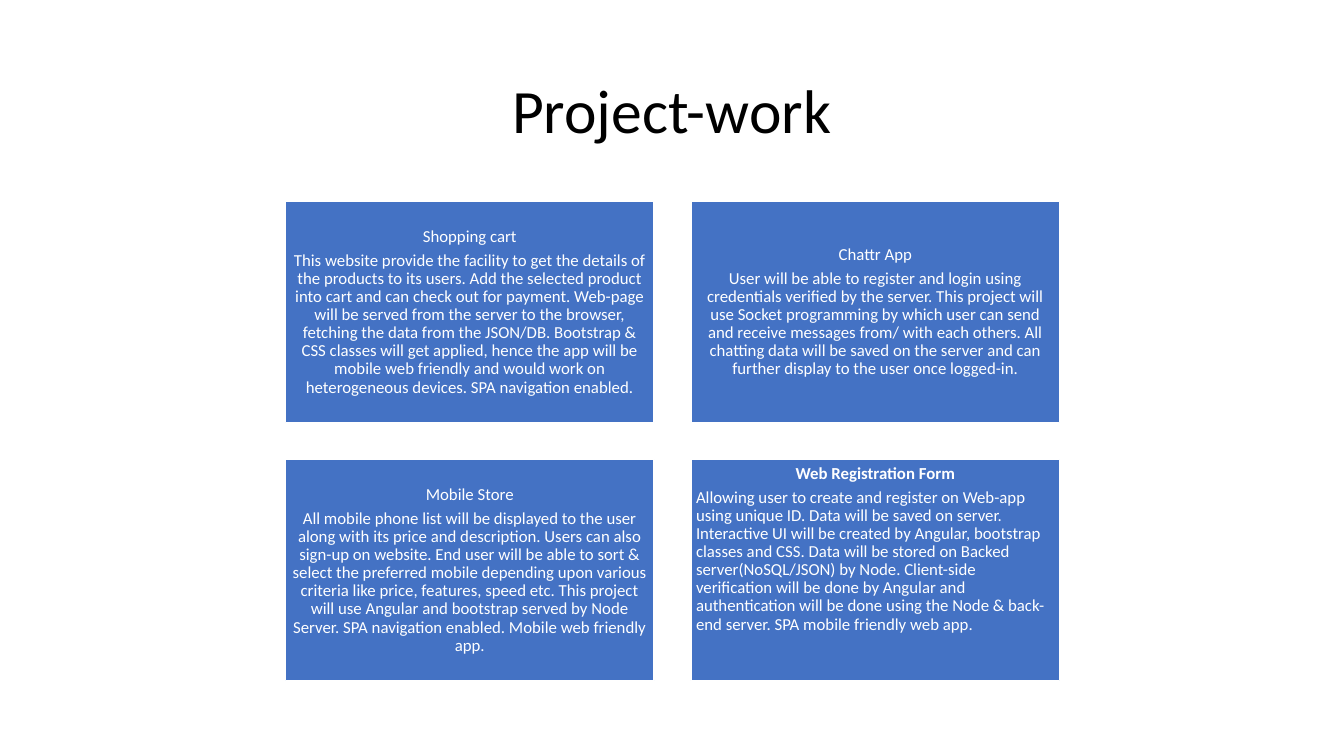
from dataclasses import dataclass

from pptx import Presentation
from pptx.dml.color import RGBColor
from pptx.enum.shapes import MSO_SHAPE as Preset
from pptx.enum.text import MSO_ANCHOR as Anchor, PP_ALIGN as Align
from pptx.util import Pt


@dataclass(frozen=True)
class Theme:
    """Colours, font and type sizes of the slide."""
    card: RGBColor = RGBColor(0x44, 0x72, 0xC4)
    white: RGBColor = RGBColor(0xFF, 0xFF, 0xFF)
    black: RGBColor = RGBColor(0, 0, 0)
    font: str = "Calibri"
    title_size: int = 44
    card_size: int = 12
    line_spacing: float = 0.9


@dataclass(frozen=True)
class Project:
    """One project card; a form card starts at the top, with left-aligned body."""
    name: str
    body: str
    is_form: bool = False


THEME = Theme()
SLIDE_WIDTH, SLIDE_HEIGHT = 960, 540
GRID_LEFT, GRID_TOP, COLUMNS = 203.9, 144, 2
CARD_WIDTH, CARD_HEIGHT, GAP = 263.4, 158, 26.3
CARD_INSET, SPACE_AFTER = 3.6, 4.2

PROJECTS = [
    Project(
        "Shopping cart",
        "This website provide the facility to get the details of the products to its "
        "users. Add the selected product into cart and can check out for payment. "
        "Web-page will be served from the server to the browser, fetching the data "
        "from the JSON/DB. Bootstrap & CSS classes will get applied, hence the app "
        "will be mobile web friendly and would work on heterogeneous devices. SPA "
        "navigation enabled."),
    Project(
        "Chattr App",
        "User will be able to register and login using credentials verified by the "
        "server. This project will use Socket programming by which user can send and "
        "receive messages from/ with each others. All chatting data will be saved on "
        "the server and can further display to the user once logged-in."),
    Project(
        "Mobile Store",
        "All mobile phone list will be displayed to the user along with its price and "
        "description. Users can also sign-up on website. End user will be able to "
        "sort & select the preferred mobile depending upon various criteria like "
        "price, features, speed etc. This project will use Angular and bootstrap "
        "served by Node Server. SPA navigation enabled. Mobile web friendly app."),
    Project(
        "Web Registration Form",
        "Allowing user to create and register on Web-app using unique ID. Data will "
        "be saved on server. Interactive UI will be created by Angular, bootstrap "
        "classes and CSS. Data will be stored on Backed server(NoSQL/JSON) by Node. "
        "Client-side verification will be done by Angular and authentication will be "
        "done using the Node & back-end server. SPA mobile friendly web app.",
        is_form=True),
]


def write(paragraph, text, size, color, align=Align.CENTER, bold=False):
    """Put one styled run into a paragraph."""
    paragraph.alignment = align
    paragraph.line_spacing = THEME.line_spacing
    run = paragraph.add_run()
    run.text = text
    run.font.name = THEME.font
    run.font.size = Pt(size)
    run.font.bold = bold
    run.font.color.rgb = color


def add_title(slide, text):
    """Add the centred slide title."""
    box = slide.shapes.add_textbox(Pt(66), Pt(28.8), Pt(828), Pt(104.4))
    frame = box.text_frame
    frame.word_wrap = True
    frame.vertical_anchor = Anchor.MIDDLE
    write(frame.paragraphs[0], text, THEME.title_size, THEME.black)


def add_card(slide, project, left, top):
    """Add a filled card with the project's name and description."""
    card = slide.shapes.add_shape(
        Preset.RECTANGLE, Pt(left), Pt(top), Pt(CARD_WIDTH), Pt(CARD_HEIGHT))
    card.shadow.inherit = False
    card.fill.solid()
    card.fill.fore_color.rgb = THEME.card
    card.line.color.rgb = THEME.white
    card.line.width = Pt(1)

    frame = card.text_frame
    frame.word_wrap = True
    frame.vertical_anchor = Anchor.TOP if project.is_form else Anchor.MIDDLE
    frame.margin_left = frame.margin_right = Pt(CARD_INSET)
    frame.margin_top = frame.margin_bottom = Pt(CARD_INSET)

    heading, body = frame.paragraphs[0], frame.add_paragraph()
    heading.space_after = body.space_after = Pt(SPACE_AFTER)
    write(heading, project.name, THEME.card_size, THEME.white, bold=project.is_form)
    body_align = Align.LEFT if project.is_form else Align.CENTER
    write(body, project.body, THEME.card_size, THEME.white, body_align)


def main():
    """Build the slide and save it."""
    presentation = Presentation()
    presentation.slide_width = Pt(SLIDE_WIDTH)
    presentation.slide_height = Pt(SLIDE_HEIGHT)
    slide = presentation.slides.add_slide(presentation.slide_layouts[6])

    add_title(slide, "Project-work")
    for index, project in enumerate(PROJECTS):
        row, column = divmod(index, COLUMNS)
        add_card(slide, project,
                 GRID_LEFT + column * (CARD_WIDTH + GAP),
                 GRID_TOP + row * (CARD_HEIGHT + GAP))
    presentation.save("out.pptx")


main()
